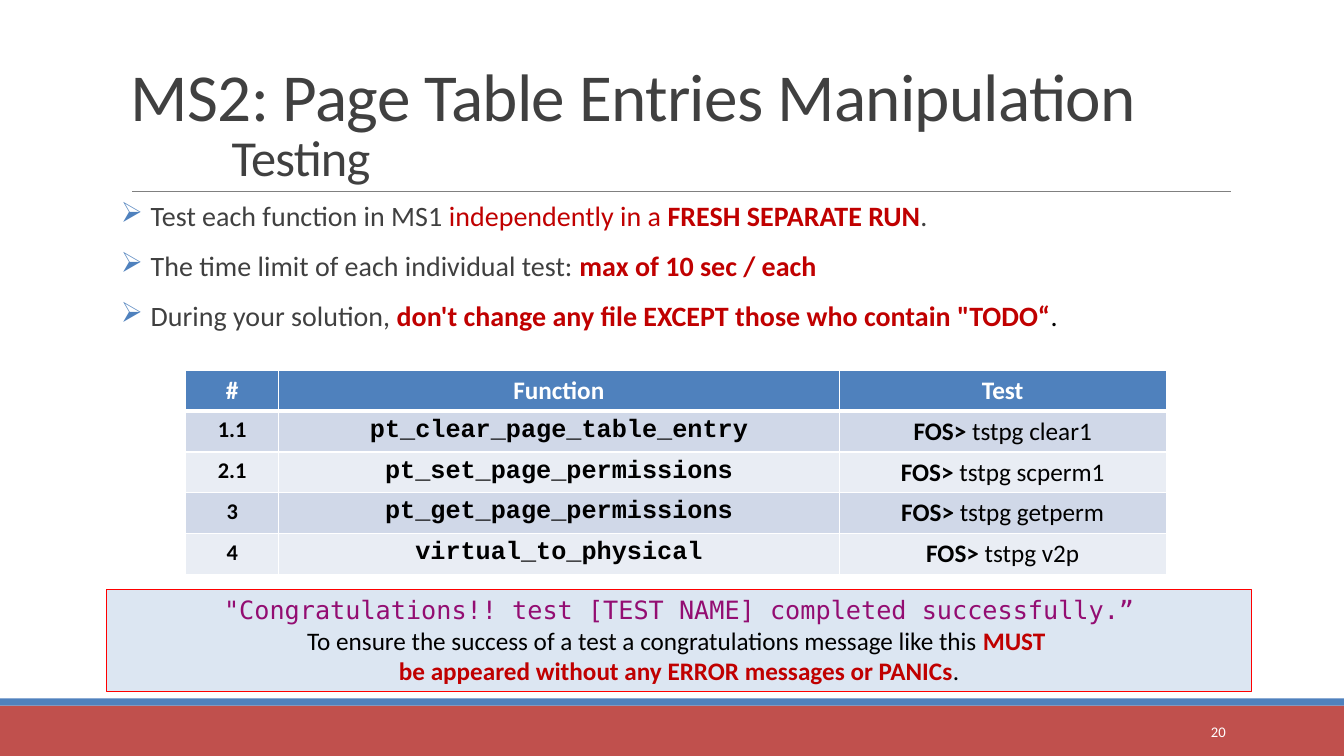
from lxml import etree
from pptx import Presentation
from pptx.dml.color import RGBColor
from pptx.enum import shapes, text
from pptx.oxml.ns import qn
from pptx.util import Cm, Pt

WHITE = RGBColor(0xFF, 0xFF, 0xFF)
BLACK = RGBColor(0, 0, 0)
CHARCOAL = RGBColor(0x40, 0x40, 0x40)
GREY = RGBColor(0x80, 0x80, 0x80)
BLUE = RGBColor(0x4F, 0x81, 0xBD)
BRICK = RGBColor(0xC0, 0x50, 0x4D)
DARK_RED = RGBColor(0xC0, 0, 0)
RED = RGBColor(0xFF, 0, 0)
PURPLE = RGBColor(0x93, 0x0D, 0x72)
PALE_BLUE = RGBColor(0xDC, 0xE6, 0xF2)
BANDS = (RGBColor(0xD0, 0xD8, 0xE8), RGBColor(0xE9, 0xED, 0xF4))

SANS, CODE, MESSAGE = "Calibri", "Courier New", "DejaVu Sans Mono"
CENTER = text.PP_ALIGN.CENTER

RULES = (
    (("Test each function in MS1 ", CHARCOAL, False),
     ("independently in a ", DARK_RED, False),
     ("FRESH SEPARATE RUN", DARK_RED, True),
     (".", CHARCOAL, False)),
    (("The time limit of each individual test: ", CHARCOAL, False),
     ("max of 10 sec / each", DARK_RED, True)),
    (("During your solution, ", CHARCOAL, False),
     ("don't change any file EXCEPT those who contain \"TODO“", DARK_RED, True),
     (".", BLACK, False)),
)
TESTS = (
    ("1.1", "pt_clear_page_table_entry", "tstpg clear1"),
    ("2.1", "pt_set_page_permissions", "tstpg scperm1"),
    ("3", "pt_get_page_permissions", "tstpg getperm"),
    ("4", "virtual_to_physical", "tstpg v2p"),
)


def style(font, size, color, bold=False, name=SANS):
    font.name, font.size, font.bold = name, Pt(size), bold
    font.color.rgb = color


def add_pieces(paragraph, pieces, size, name=SANS):
    """Add one run per (wording, colour, bold) piece."""
    for wording, color, bold in pieces:
        run = paragraph.add_run()
        run.text = wording
        style(run.font, size, color, bold, name)


def add_rect(slide, left, top, width, height, fill):
    rect = slide.shapes.add_shape(shapes.MSO_SHAPE.RECTANGLE,
                                  Cm(left), Cm(top), Cm(width), Cm(height))
    rect.shadow.inherit = False
    rect.fill.solid()
    rect.fill.fore_color.rgb = fill
    rect.line.fill.background()
    return rect


def add_frame(slide, left, top, width, height, anchor):
    box = slide.shapes.add_textbox(Cm(left), Cm(top), Cm(width), Cm(height))
    frame = box.text_frame
    frame.word_wrap = True
    frame.vertical_anchor = anchor
    return frame


def add_divider(slide):
    divider = slide.shapes.add_connector(shapes.MSO_CONNECTOR.STRAIGHT,
                                         Cm(3.33), Cm(4.83), Cm(31.01), Cm(4.83))
    divider.line.color.rgb = GREY
    divider.line.width = Pt(0.5)
    etree.SubElement(divider._element.spPr, qn("a:effectLst"))


def add_title(slide):
    frame = add_frame(slide, 3.05, 0.79, 27.94, 4.04, text.MSO_ANCHOR.BOTTOM)
    frame.text = "MS2: Page Table Entries Manipulation\v\t\tTesting"
    heading = frame.paragraphs[0]
    heading.line_spacing = 0.85
    for run, size in zip(heading.runs, (48, 36)):
        style(run.font, size, CHARCOAL)
        run.font._element.set("spc", "-50")


def add_bullet(paragraph):
    properties = paragraph._p.get_or_add_pPr()
    properties.set("marL", str(Cm(0.75)))
    properties.set("indent", str(-Cm(0.75)))
    color = etree.SubElement(properties, qn("a:buClr"))
    etree.SubElement(color, qn("a:srgbClr")).set("val", str(BLUE))
    etree.SubElement(properties, qn("a:buChar")).set("char", "➢")


def add_rules(slide):
    frame = add_frame(slide, 3.05, 4.98, 27.94, 4.2, text.MSO_ANCHOR.TOP)
    frame.margin_left = frame.margin_right = 0
    for index, pieces in enumerate(RULES):
        rule = frame.add_paragraph() if index else frame.paragraphs[0]
        add_bullet(rule)
        rule.line_spacing = 0.9
        rule.space_before = Pt(12 if index else 0)
        rule.space_after = Pt(2)
        add_pieces(rule, pieces, 20)


def set_borders(cell, **widths):
    """Draw white borders; widths in points are keyed by side: L, R, T, B."""
    for side, width in widths.items():
        border = etree.SubElement(cell._tc.get_or_add_tcPr(), qn(f"a:ln{side}"))
        border.set("w", str(Pt(width)))
        fill = etree.SubElement(border, qn("a:solidFill"))
        etree.SubElement(fill, qn("a:srgbClr")).set("val", str(WHITE))


def fill_cell(cell, pieces, size, fill, name=SANS):
    paragraph = cell.text_frame.paragraphs[0]
    paragraph.alignment = CENTER
    add_pieces(paragraph, pieces, size, name)
    cell.fill.solid()
    cell.fill.fore_color.rgb = fill


def add_test_table(slide):
    row_height = 1.03
    row_count = len(TESTS) + 1
    table = slide.shapes.add_table(row_count, 3, Cm(4.68), Cm(9.33), Cm(24.71),
                                   Cm(row_height * row_count)).table
    for column, width in zip(table.columns, (2.34, 14.13, 8.24)):
        column.width = Cm(width)
    for index, row in enumerate(table.rows):
        row.height = Cm(row_height)
        for cell in row.cells:
            set_borders(cell, L=1, R=1, T=3 if index == 1 else 1,
                        B=1 if index else 3)
    for column, heading in enumerate(("#", "Function", "Test")):
        fill_cell(table.cell(0, column), [(heading, WHITE, True)], 18, BLUE)
    for row, (number, function, command) in enumerate(TESTS, 1):
        band = BANDS[(row - 1) % 2]
        fill_cell(table.cell(row, 0), [(number, BLACK, True)], 16, band)
        fill_cell(table.cell(row, 1), [(function, BLACK, True)], 18, band, CODE)
        fill_cell(table.cell(row, 2),
                  [("FOS> ", BLACK, True), (command, BLACK, False)], 18, band)


def add_success_note(slide):
    note = add_rect(slide, 2.69, 14.86, 28.85, 2.57, PALE_BLUE)
    note.line.color.rgb = RED
    note.line.width = Pt(0.75)
    frame = note.text_frame
    frame.word_wrap = True
    frame.vertical_anchor = text.MSO_ANCHOR.TOP
    message, advice = frame.paragraphs[0], frame.add_paragraph()
    message.alignment = advice.alignment = CENTER
    add_pieces(message, [
        ("\"Congratulations!! test [TEST NAME] completed successfully.”", PURPLE, False),
    ], 18, MESSAGE)
    add_pieces(advice, [
        ("To ensure the success of a test a congratulations message like this ",
         BLACK, False),
        ("MUST ", DARK_RED, True)], 18)
    advice.add_line_break()
    add_pieces(advice, [
        ("be appeared without any ERROR messages or PANICs", DARK_RED, True),
        (".", BLACK, False)], 18)


def add_slide_number(slide):
    frame = add_frame(slide, 27.51, 17.93, 3.63, 1.02, text.MSO_ANCHOR.MIDDLE)
    frame.text = "20"
    number = frame.paragraphs[0]
    number.alignment = text.PP_ALIGN.RIGHT
    style(number.runs[0].font, 10.5, WHITE)


def main():
    deck = Presentation()
    deck.slide_width, deck.slide_height = Cm(33.87), Cm(19.05)
    slide = deck.slides.add_slide(deck.slide_layouts[6])
    add_rect(slide, 0, 17.78, 33.87, 1.27, BRICK)
    add_rect(slide, 0, 17.6, 33.87, 0.18, BLUE)
    add_divider(slide)
    add_title(slide)
    add_rules(slide)
    add_slide_number(slide)
    add_test_table(slide)
    add_success_note(slide)
    deck.save("out.pptx")


if __name__ == "__main__":
    main()
